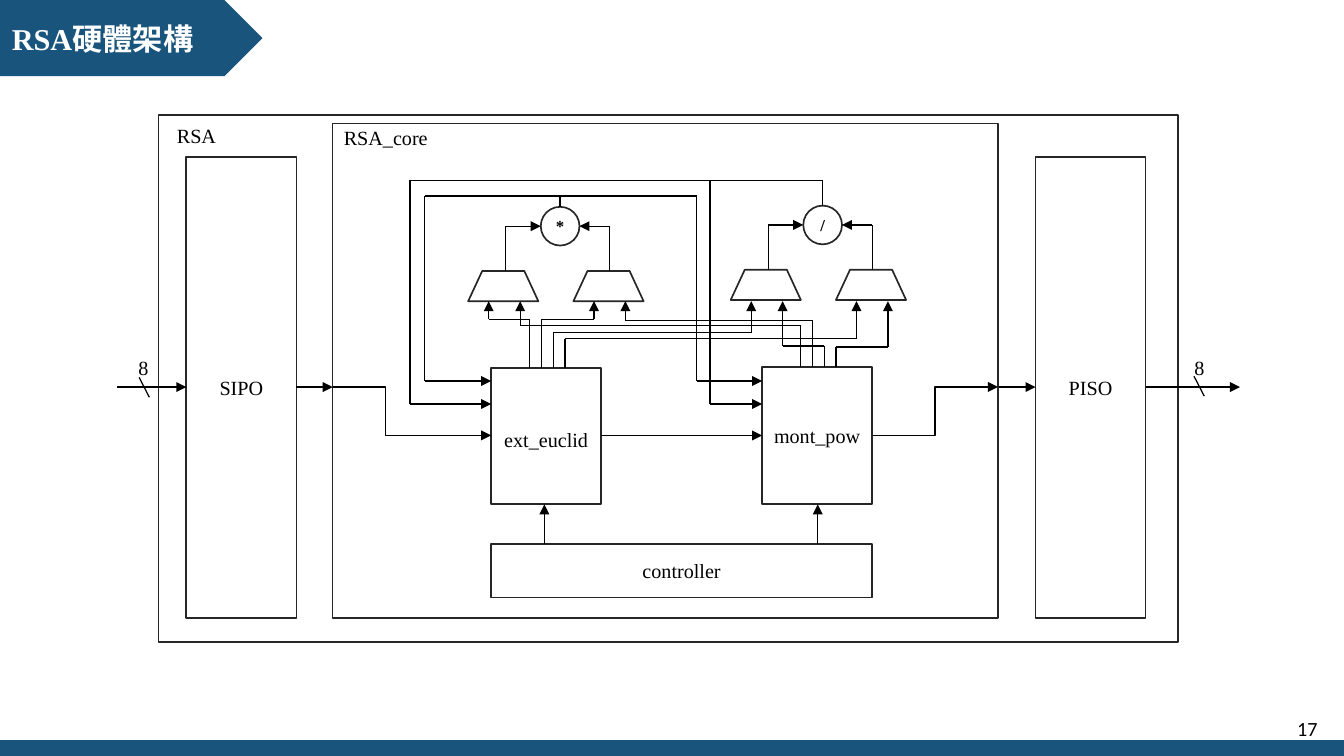
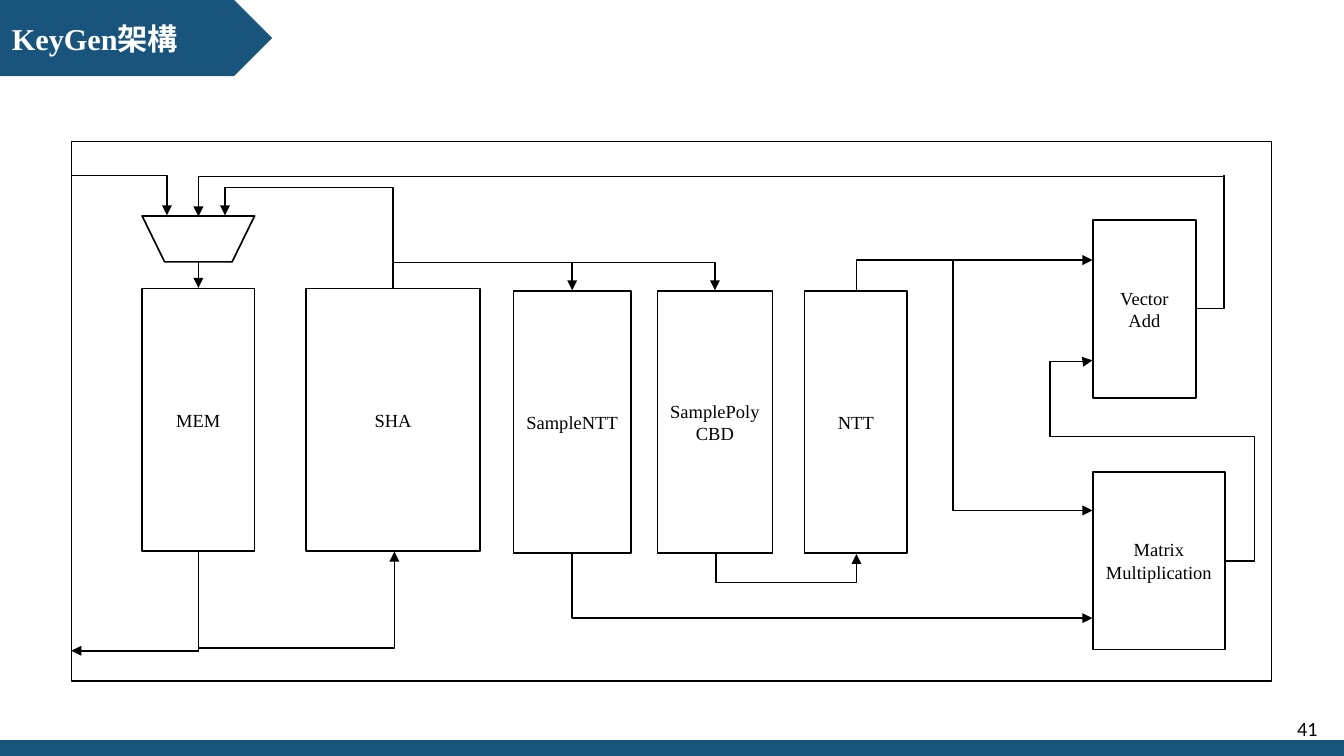
from dataclasses import dataclass
from itertools import pairwise

from lxml.etree import SubElement
from pptx import Presentation
from pptx.dml.color import RGBColor
from pptx.enum.shapes import MSO_CONNECTOR, MSO_SHAPE
from pptx.enum.text import MSO_ANCHOR, PP_ALIGN
from pptx.oxml.ns import qn
from pptx.util import Emu, Inches, Pt

COLS, ROWS = 1111, 625
CELL = Inches(0.01)
Point = tuple[float, float]


@dataclass(frozen=True)
class Theme:
    accent: str = "19547C"
    light: str = "FFFFFF"
    ink: str = "000000"
    soft_ink: str = "262626"
    serif: str = "Times New Roman"
    sans: str = "Calibri"
    title_size: int = 18
    page_size: int = 12
    sign_size: int = 10
    outline: float = 1
    band: int = 13
    title_height: int = 63


THEME = Theme()


@dataclass(frozen=True)
class Style:
    outline: str
    wire: float
    size: int
    inset: int


CORE = Style(THEME.soft_ink, 0.75, 12, 5)
KEYGEN = Style(THEME.ink, 1, 11, 10)


@dataclass(frozen=True)
class Box:
    col: float
    row: float
    width: float
    height: float
    text: str = ""
    kind: MSO_SHAPE = MSO_SHAPE.RECTANGLE
    turn: int = 0
    sign: bool = False


@dataclass(frozen=True)
class Wire:
    points: tuple[Point, ...]
    arrow: bool = True
    elbow: bool = False


def wire(*points: Point, arrow: bool = True) -> Wire:
    return Wire(points, arrow)


def elbow(*points: Point, arrow: bool = True) -> Wire:
    return Wire(points, arrow, True)


def grid(value: float) -> Emu:
    return Emu(round(value * CELL))


def rgb(value: str) -> RGBColor:
    return RGBColor.from_string(value)


def assign(obj, values: dict) -> None:
    for name, value in values.items():
        setattr(obj, name, value)


def write(sp, text: str, size: float, color: str, align=PP_ALIGN.CENTER,
          anchor=MSO_ANCHOR.MIDDLE, font: str = THEME.serif,
          bold: bool = False, inset: int = 10) -> None:
    tf = sp.text_frame
    assign(tf, {"word_wrap": True, "vertical_anchor": anchor,
                "margin_left": grid(inset), "margin_right": grid(inset)})
    p = tf.paragraphs[0]
    p.alignment = align
    r = p.add_run()
    r.text = text
    assign(r.font, {"name": font, "size": Pt(size), "bold": bold})
    r.font.color.rgb = rgb(color)


def add_box(s, box: Box, fill: str = "", outline: str = ""):
    sp = s.shapes.add_shape(box.kind, *map(grid, (box.col, box.row, box.width, box.height)))
    assign(sp, {"rotation": box.turn})
    sp.shadow.inherit = False
    if fill:
        sp.fill.solid()
        sp.fill.fore_color.rgb = rgb(fill)
    else:
        sp.fill.background()
    if outline:
        sp.line.color.rgb = rgb(outline)
        sp.line.width = Pt(THEME.outline)
    else:
        sp.line.fill.background()
    return sp


def add_label(s, label: Box, size: float, **options) -> None:
    sp = s.shapes.add_textbox(*map(grid, (label.col, label.row, label.width, label.height)))
    write(sp, label.text, size, THEME.ink, **options)


def finish_line(line, width: float, arrow: bool) -> None:
    line.line.color.rgb = rgb(THEME.ink)
    line.line.width = Pt(width)
    if arrow:
        SubElement(line.line._get_or_add_ln(), qn("a:tailEnd"), type="triangle")
    SubElement(line._element.spPr, qn("a:effectLst"))


def add_elbow(s, route: Wire, width: float) -> None:
    (x1, y1), (x2, y2) = route.points[0], route.points[-1]
    dx, dy = x2 - x1, y2 - y1
    vertical = route.points[1][0] == x1
    along, across = (dy, -dx) if vertical else (dx, dy)
    turned = along * across < 0 and (vertical or along < 0)
    w, h = abs(along), abs(across)
    left, top = (x1 + x2 - w) / 2, (y1 + y2 - h) / 2
    line = s.shapes.add_connector(MSO_CONNECTOR.ELBOW,
                                  *map(grid, (left, top, left + w, top + h)))
    spPr = line._element.spPr
    xfrm = spPr.find(qn("a:xfrm"))
    xfrm.set("rot", str((90 * vertical + 180 * turned) * 60000))
    for name, value in (("flipH", along), ("flipV", across)):
        xfrm.set(name, str(int((value < 0) != turned)))
    geom = spPr.find(qn("a:prstGeom"))
    bends = len(route.points) - 1
    geom.set("prst", f"bentConnector{bends}")
    guides = geom.find(qn("a:avLst"))
    for i, (x, y) in enumerate(route.points[1:bends - 1], 1):
        share = (y - y1) / dy if vertical == (i % 2 == 1) else (x - x1) / dx
        name = f"adj{i}" if bends > 2 else "adj"
        SubElement(guides, qn("a:gd"), name=name, fmla=f"val {round(share * 100000)}")
    finish_line(line, width, route.arrow)


def add_wire(s, route: Wire, width: float) -> None:
    if route.elbow:
        add_elbow(s, route, width)
        return
    segments = list(pairwise(route.points))
    for i, (start, end) in enumerate(segments, 1):
        line = s.shapes.add_connector(MSO_CONNECTOR.STRAIGHT, *map(grid, (*start, *end)))
        finish_line(line, width, route.arrow and i == len(segments))


def add_page(prs, title: str, title_width: int, number: int):
    s = prs.slides.add_slide(prs.slide_layouts[6])
    add_box(s, Box(0, ROWS - THEME.band, COLS, THEME.band), THEME.accent)
    plate = Box(0, 0, title_width, THEME.title_height, kind=MSO_SHAPE.PENTAGON)
    write(add_box(s, plate, THEME.accent), title, THEME.title_size, THEME.light,
          align=PP_ALIGN.LEFT, bold=True)
    add_label(s, Box(840, 586, 259, 33, str(number)), THEME.page_size,
              align=PP_ALIGN.RIGHT, font=THEME.sans)
    return s


def add_diagram(s, style: Style, boxes: list[Box], wires: list[Wire],
                labels: tuple[Box, ...] = ()) -> None:
    for box in boxes:
        sp = add_box(s, box, outline=style.outline)
        if box.text:
            size = THEME.sign_size if box.sign else style.size
            write(sp, box.text, size, THEME.ink, bold=box.sign, inset=style.inset)
    for label in labels:
        add_label(s, label, style.size, anchor=MSO_ANCHOR.TOP, inset=style.inset)
    for route in wires:
        add_wire(s, route, style.wire)


def operator(col: int, row: int, sign: str) -> tuple[list[Box], list[Wire]]:
    mid, top = row + 16, row + 53
    muxes = [Box(col + dx, top, 58, 25, kind=MSO_SHAPE.FLOWCHART_MANUAL_OPERATION, turn=180)
             for dx in (-60, 27)]
    circle = Box(col, row, 32, 32, sign, MSO_SHAPE.OVAL, sign=True)
    wires = [wire((col + out, top), (col + out, mid), (col + side, mid))
             for out, side in ((-29, 0), (57, 32))]
    return [*muxes, circle], wires


def mux_routes(unit: Box, inputs: list[int], lanes: list[tuple[int, int]]) -> list[Wire]:
    routes = []
    for i, (lane, target) in enumerate(lanes):
        port, end = unit.col + 32 + 9.67 * i, inputs[target]
        routes.append(wire((port, unit.row), (port, lane), (end, lane), (end, 249)))
    return routes


def rsa_slide(prs) -> None:
    s = add_page(prs, "RSA硬體架構", 217, 17)
    euclid = Box(406, 304, 91, 113)
    power = Box(630, 303.5, 91, 113, "mont_pow")
    boxes = [Box(131, 95, 843, 436), Box(275, 102, 550, 409),
             Box(154, 130, 91, 381, "SIPO"), Box(856, 130, 91, 381, "PISO"),
             euclid, power, Box(406, 450, 315, 44, "controller")]
    labels = (Box(126, 97, 73, 30, "RSA"), Box(271, 99, 96, 30, "RSA_core"),
              Box(384, 348.5, 135, 24, "ext_euclid"),
              Box(82, 289, 73, 30, "8"), Box(955, 289, 73, 30, "8"))
    wires = [wire((a, 320), (b, 320))
             for a, b in ((97, 154), (245, 275), (826, 856), (947, 1025))]
    wires += [wire((x, y), (x + 8.5, y + 16.5), arrow=False) for x, y in ((115, 312), (987, 311))]
    wires += [wire((x, 450), (x, 417)) for x in (450, 676)]
    wires += [
        wire((497, 360), (630, 360)),
        elbow((275, 320), (319, 320), (319, 360), (406, 360)),
        elbow((722, 360), (773, 360), (773, 320), (825, 320)),
        wire((463, 171), (463, 162), (351, 162), (351, 315), (406, 315)),
        wire((463, 162), (576, 162), (576, 315), (630, 315)),
        wire((680, 170), (680, 149), (339, 149), (339, 334), (406, 334)),
        wire((587, 149), (587, 334), (630, 334)),
    ]
    inputs = []
    for col, row, sign in ((447, 171, "*"), (664, 170, "/")):
        parts, links = operator(col, row, sign)
        boxes += parts
        wires += links
        inputs += [col + dx for dx in (-43, -17, 44, 70)]
    wires += mux_routes(euclid, inputs, [(264, 0), (264, 2), (275, 4), (280, 6)])
    wires += mux_routes(power, inputs, [(269, 1), (265, 3), (286, 5), (287, 7)])
    add_diagram(s, CORE, boxes, wires, labels)


def keygen_slide(prs) -> None:
    s = add_page(prs, "KeyGen架構", 225, 41)
    boxes = [Box(59, 117, 992, 446),
             Box(117.5, 178.5, 93, 38, kind=MSO_SHAPE.FLOWCHART_MANUAL_OPERATION),
             Box(903.5, 390, 109, 147, "Matrix Multiplication"),
             Box(903.5, 182, 85, 147, "Vector Add")]
    boxes += [Box(col, row, width, 217, text) for col, row, width, text in (
        (117.5, 238.5, 93, "MEM"), (253, 238.5, 144, "SHA"), (424.5, 240.5, 97, "SampleNTT"),
        (543.5, 240.5, 95, "SamplePolyCBD"), (665, 240.5, 85, "NTT"))]
    wires = [
        elbow((59, 145), (138, 145), (138, 178)),
        wire((164, 217), (164, 238)),
        elbow((164, 455), (164, 537), (326, 537), (326, 456)),
        elbow((164, 456), (164, 538), (59, 538)),
        elbow((325, 238), (325, 155), (185, 155), arrow=False),
        wire((186, 155), (186, 178)),
        wire((325, 217), (473, 217), arrow=False),
        wire((473, 217), (473, 240)),
        elbow((473, 217), (591, 217), (591, 240)),
        elbow((592, 457), (592, 482), (708, 482), (708, 458)),
        elbow((473, 457), (473, 511), (903, 511)),
        wire((784, 215), (903, 215)),
        elbow((708, 240), (708, 215), (788, 215), (788, 422), (903, 422)),
        elbow((1012, 464), (1037, 464), (1037, 361), (868, 361), arrow=False),
        elbow((868, 361), (868, 299), (903, 299), (903, 298)),
        elbow((989, 255), (1012, 255), (1012, 145), arrow=False),
        elbow((1012, 146), (164, 146), (164, 179)),
    ]
    add_diagram(s, KEYGEN, boxes, wires)


def main() -> None:
    prs = Presentation()
    assign(prs, {"slide_width": grid(COLS), "slide_height": grid(ROWS)})
    rsa_slide(prs)
    keygen_slide(prs)
    prs.save("out.pptx")


if __name__ == "__main__":
    main()
